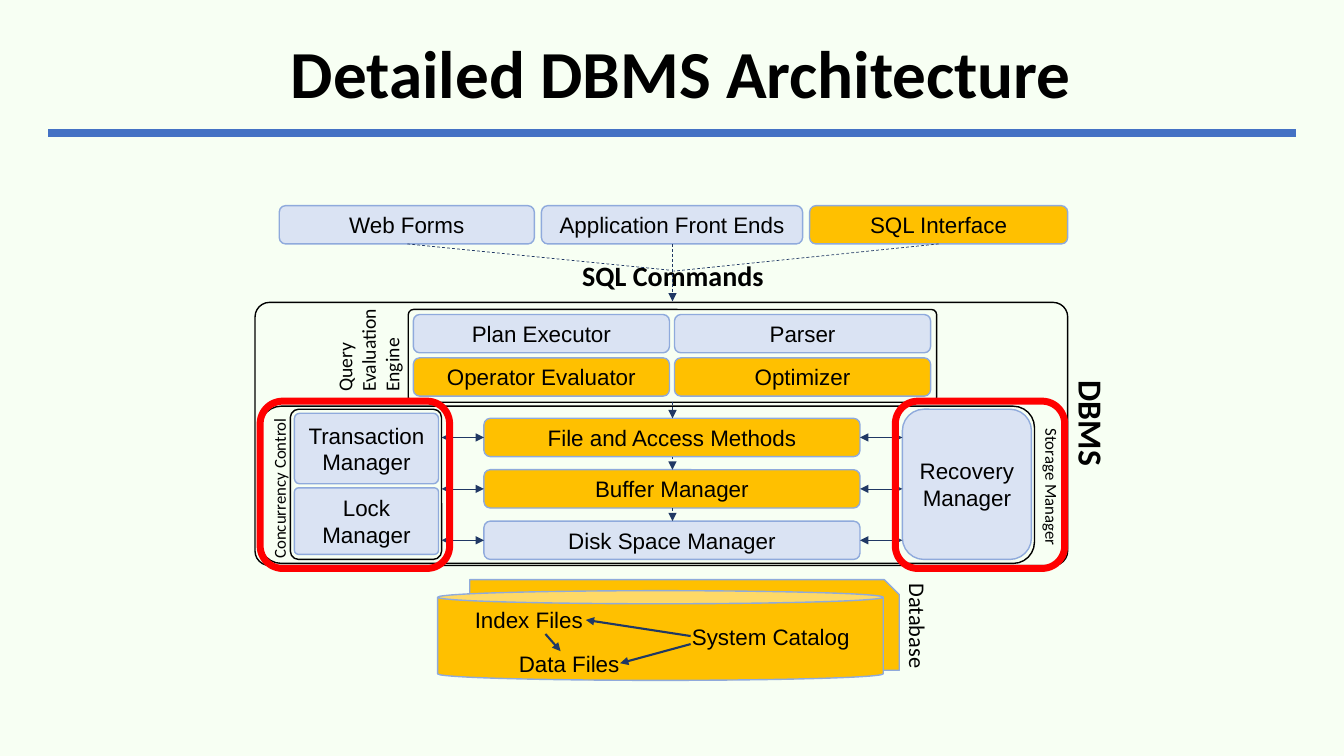
import lxml.etree
import pptx
import pptx.dml.color
import pptx.enum.dml
import pptx.enum.shapes
import pptx.enum.text
import pptx.oxml.ns
import pptx.util

SHAPE = pptx.enum.shapes.MSO_SHAPE
ALIGN = pptx.enum.text.PP_ALIGN
MIDDLE = pptx.enum.text.MSO_ANCHOR.MIDDLE
DASH = pptx.enum.dml.MSO_LINE.DASH
BLACK, BLUE, PALE, AMBER = "000000", "8FAADC", "DAE3F3", "FFC000"
NAVY, RED = "203864", "FF0000"

deck = pptx.Presentation()
deck.slide_width = pptx.util.Inches(13.33)
deck.slide_height = pptx.util.Inches(7.5)
column = deck.slide_width // 1333
row = deck.slide_height // 750
page = deck.slides.add_slide(deck.slide_layouts[6])


def paint(fill, colour):
    if colour is None:
        fill.background()
    else:
        fill.solid()
        fill.fore_color.rgb = pptx.dml.color.RGBColor.from_string(colour)


def place(kind, cells, fill=None, line=None, weight=1, corner=None, words="",
          size=16, font="Arial", bold=False, align=ALIGN.CENTER, turn=0):
    left, top, width, height = cells
    box = page.shapes.add_shape(kind, left * column, top * row, width * column, height * row)
    box.shadow.inherit = False
    box.rotation = turn
    paint(box.fill, fill)
    paint(box.line.fill, line)
    if line:
        box.line.width = pptx.util.Pt(weight)
    if corner:
        box.adjustments[0] = corner
    if words:
        margin = 5 * column if align == ALIGN.CENTER else 10 * column
        frame = {"word_wrap": True, "vertical_anchor": MIDDLE,
                 "margin_left": margin, "margin_right": margin}
        for name, value in frame.items():
            setattr(box.text_frame, name, value)
        para = box.text_frame.paragraphs[0]
        para.alignment = align
        span = para.add_run()
        span.text = words
        for name, value in {"size": pptx.util.Pt(size), "name": font, "bold": bold}.items():
            setattr(span.font, name, value)
        paint(span.font.fill, BLACK)


paint(page.background.fill, "F7FFF3")

title = page.shapes.add_textbox(48 * column, 24 * row, 1237 * column, 105 * row)
title.text_frame.word_wrap = True
title.text_frame.vertical_anchor = MIDDLE
heading = title.text_frame.paragraphs[0]
heading.alignment = ALIGN.CENTER
heading.line_spacing = 0.9
for words, font in ((" ", "Arial"), ("Detailed DBMS Architecture", "Calibri")):
    span = heading.add_run()
    span.text = words
    for name, value in {"size": pptx.util.Pt(48), "name": font, "bold": True}.items():
        setattr(span.font, name, value)
    paint(span.font.fill, BLACK)

place(SHAPE.SNIP_1_RECTANGLE, (466, 575, 426, 90), AMBER, BLUE)
place(SHAPE.CAN, (434, 586, 442, 89), AMBER, BLUE, corner=0.146)

outlines = [
    ((253, 300, 806, 261), 0.055),
    ((405, 307, 524, 92), 0.055),
    ((258, 403, 768, 156), 0.135),
    ((288, 406, 150, 149), 0.055),
]
for cells, corner in outlines:
    place(SHAPE.ROUNDED_RECTANGLE, cells, line=BLACK, corner=corner)

modules = [
    ("Web Forms", (277, 204, 253, 38), PALE, None),
    ("Application Front Ends", (537, 204, 259, 38), PALE, None),
    ("SQL Interface", (803, 204, 256, 38), AMBER, None),
    ("Recovery Manager", (895, 406, 128, 149), PALE, None),
    ("Transaction Manager", (292, 410, 143, 70), PALE, 0.075),
    ("Lock Manager", (292, 484, 143, 66), PALE, 0.062),
]
engine = [("Plan Executor", PALE), ("Parser", PALE),
          ("Operator Evaluator", AMBER), ("Optimizer", AMBER)]
for index, (words, fill) in enumerate(engine):
    cells = (410 + 259 * (index % 2), 312 + 43 * (index // 2), 254, 38)
    modules.append((words, cells, fill, None))
storage = [("File and Access Methods", AMBER), ("Buffer Manager", AMBER),
           ("Disk Space Manager", PALE)]
for index, (words, fill) in enumerate(storage):
    modules.append((words, (480, 415 + 51 * index, 373, 38), fill, None))
for words, cells, fill, corner in modules:
    place(SHAPE.ROUNDED_RECTANGLE, cells, fill, BLUE, corner=corner, words=words)

labels = [
    ("SQL Commands", (565, 254, 205, 38), 20, "Calibri", True, ALIGN.CENTER, 0),
    ("Index Files", (442, 596, 165, 38), 16, "Arial", False, ALIGN.CENTER, 0),
    ("Data Files", (482, 639, 165, 38), 16, "Arial", False, ALIGN.CENTER, 0),
    ("System Catalog", (664, 612, 201, 38), 16, "Arial", False, ALIGN.CENTER, 0),
    ("Database", (855, 602, 111, 38), 16, "Calibri", False, ALIGN.CENTER, 90),
    ("Query Evaluation Engine", (300, 293, 130, 90), 14, "Calibri", False, ALIGN.LEFT, 270),
    ("Concurrency Control", (191, 460, 172, 40), 12, "Calibri", False, ALIGN.LEFT, 270),
    ("Storage Manager", (971, 466, 145, 40), 12, "Calibri", False, ALIGN.LEFT, 90),
    ("DBMS", (1018, 412, 130, 38), 24, "Calibri", True, ALIGN.LEFT, 90),
]
for words, cells, size, font, bold, align, turn in labels:
    place(SHAPE.ROUNDED_RECTANGLE, cells, words=words, size=size, font=font,
          bold=bold, align=align, turn=turn)

links = [
    ((48, 132, 1285, 132), "4472C4", 6, None, ()),
    ((404, 242, 664, 268), NAVY, 0.5, DASH, ()),
    ((931, 242, 668, 269), NAVY, 0.5, DASH, ()),
    ((581, 615, 685, 631), NAVY, 1.5, None, ("headEnd",)),
    ((615, 658, 685, 639), NAVY, 1.5, None, ("headEnd",)),
    ((556, 646, 541, 629), NAVY, 1.5, None, ("headEnd",)),
]
for top, bottom in ((242, 299), (399, 415), (453, 466), (504, 517)):
    links.append(((667, top, 667, bottom), NAVY, 0.5, DASH, ("tailEnd",)))
for level in range(434, 537, 51):
    for start, end in ((438, 480), (853, 895)):
        links.append(((start, level, end, level), NAVY, 0.5, None, ("headEnd", "tailEnd")))
for (left, top, right, bottom), colour, weight, dash, arrows in links:
    link = page.shapes.add_connector(pptx.enum.shapes.MSO_CONNECTOR.STRAIGHT,
                                     left * column, top * row, right * column, bottom * row)
    paint(link.line.fill, colour)
    for name, value in {"width": pptx.util.Pt(weight), "dash_style": dash}.items():
        setattr(link.line, name, value)
    properties = link._element.spPr
    outline = properties.find(pptx.oxml.ns.qn("a:ln"))
    for arrow in arrows:
        lxml.etree.SubElement(outline, pptx.oxml.ns.qn("a:" + arrow), type="triangle")
    lxml.etree.SubElement(properties, pptx.oxml.ns.qn("a:effectLst"))

for left, width in ((258, 188), (888, 168)):
    place(SHAPE.ROUNDED_RECTANGLE, (left, 398, width, 166), line=RED, weight=5, corner=0.135)

deck.save("out.pptx")
